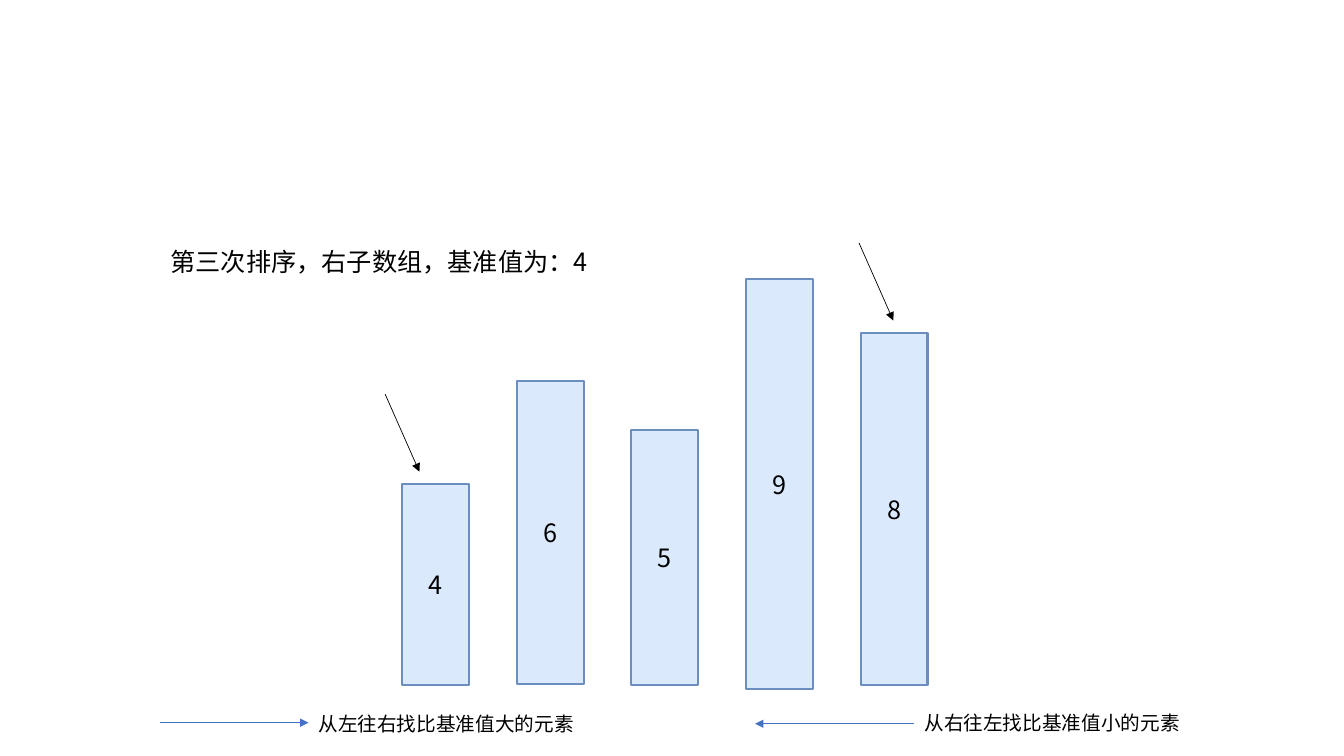
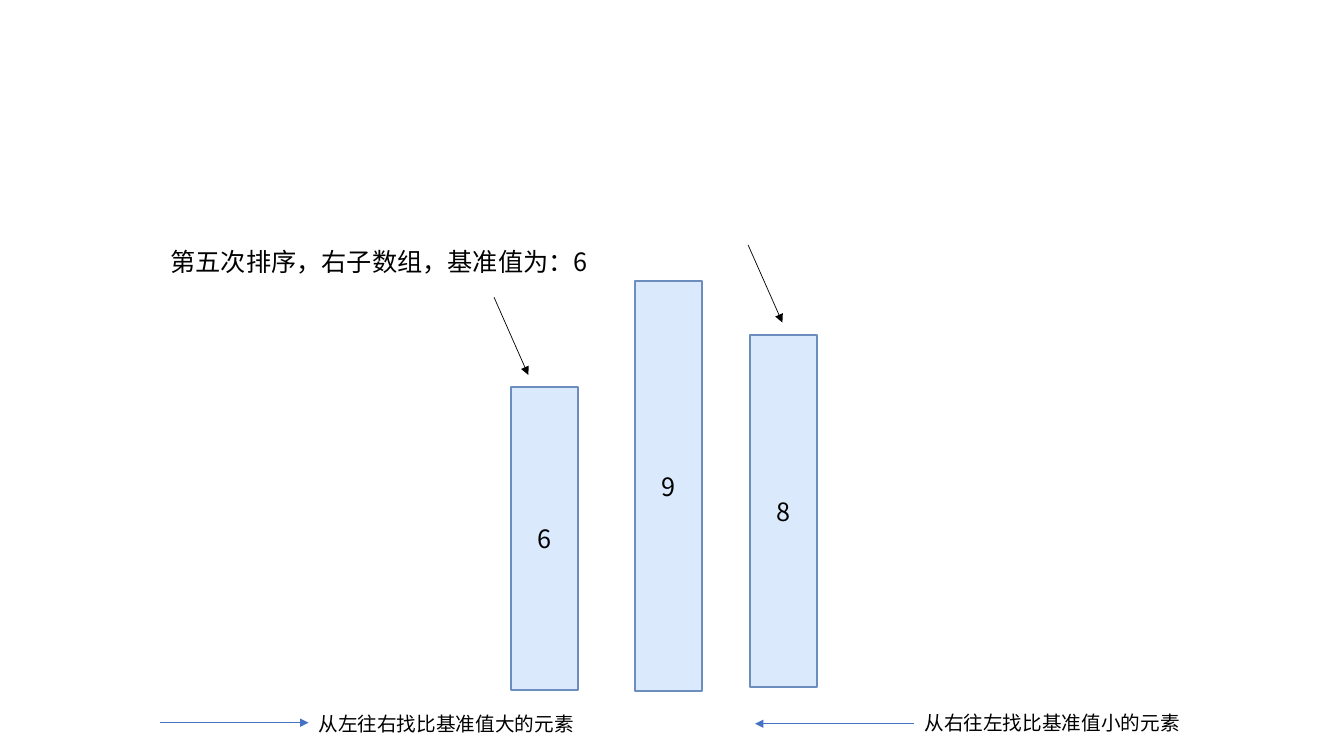
import pptx
import pptx.util
import pptx.dml.color
import pptx.enum.shapes
import pptx.enum.text
import pptx.oxml.ns
from lxml import etree

Inches = pptx.util.Inches
Pt = pptx.util.Pt
ALIGN = pptx.enum.text.PP_ALIGN
ANCHOR = pptx.enum.text.MSO_ANCHOR

# Shared style
FONT = "Noto Sans CJK SC"
INK, BAR_FILL, BAR_LINE, SCAN = "000000", "DBE9FD", "6C8EBF", "4472C4"
BAR_WIDTH = 0.66
BAR_HEIGHT = {4: 2, 5: 2.53, 6: 3.01, 8: 3.5, 9: 4.07}


def rgb(value):
    return pptx.dml.color.RGBColor.from_string(value)


def add_xml(parent, tag, **attributes):
    return etree.SubElement(parent, pptx.oxml.ns.qn(tag), **attributes)


class Deck:
    def __init__(self):
        self.prs = pptx.Presentation()
        self.prs.slide_width = Inches(13.33)
        self.prs.slide_height = Inches(7.5)
        self.s = None

    def set_text(self, sp, text, size, align=ALIGN.LEFT, anchor=ANCHOR.TOP):
        tf = sp.text_frame
        frame = {"word_wrap": True, "vertical_anchor": anchor,
                 "auto_size": pptx.enum.text.MSO_AUTO_SIZE.NONE}
        for name, value in frame.items():
            setattr(tf, name, value)
        p = tf.paragraphs[0]
        p.alignment = align
        r = p.add_run()
        r.text = text
        for name, value in {"name": FONT, "size": Pt(size)}.items():
            setattr(r.font, name, value)
        r.font.color.rgb = rgb(INK)
        add_xml(r.font._element, "a:ea", typeface=FONT)

    def slide(self, title, width):
        self.s = self.prs.slides.add_slide(self.prs.slide_layouts[5])
        sp = self.s.shapes.title
        place = {"left": 1.59, "top": 2.39, "width": width, "height": 0.4}
        for name, value in place.items():
            setattr(sp, name, Inches(value))
        self.set_text(sp, title, 18)

    def label(self, text, left, top):
        sp = self.s.shapes.add_textbox(Inches(left), Inches(top), Inches(2.75), Inches(0.34))
        self.set_text(sp, text, 14)

    def bar(self, value, left, top):
        sp = self.s.shapes.add_shape(
            pptx.enum.shapes.MSO_SHAPE.RECTANGLE, Inches(left), Inches(top),
            Inches(BAR_WIDTH), Inches(BAR_HEIGHT[value]))
        sp.shadow.inherit = False
        sp.fill.solid()
        sp.fill.fore_color.rgb = rgb(BAR_FILL)
        sp.line.color.rgb = rgb(BAR_LINE)
        sp.line.width = Pt(1.5)
        self.set_text(sp, str(value), 18, ALIGN.CENTER, ANCHOR.MIDDLE)

    def arrow(self, x1, y1, x2, y2, color):
        line = self.s.shapes.add_connector(
            pptx.enum.shapes.MSO_CONNECTOR.STRAIGHT,
            Inches(x1), Inches(y1), Inches(x2), Inches(y2))
        line.line.color.rgb = rgb(color)
        line.line.width = Pt(0.5)
        add_xml(line.line._get_or_add_ln(), "a:tailEnd", type="triangle")
        add_xml(line._element.spPr, "a:effectLst")

    def pointer(self, left, top):
        self.arrow(left, top - 0.89, left + 0.34, top - 0.12, INK)

    def legend(self):
        self.arrow(1.59, 7.17, 3.06, 7.17, SCAN)
        self.label("从左往右找比基准值大的元素", 3.06, 7.01)
        self.arrow(9.07, 7.18, 7.49, 7.18, SCAN)
        self.label("从右往左找比基准值小的元素", 9.07, 7)

    def sort_step(self, title, title_width, bars):
        self.slide(title, title_width)
        for value, left, top in bars:
            self.bar(value, left, top)
        # Pointers to the first and last bar
        (_, left, top), (_, right, right_top) = bars[0], bars[-1]
        self.pointer(left - 0.17, top)
        self.pointer(right - 0.02, right_top)
        self.legend()


deck = Deck()

# Third pass: value, left and top of each bar
deck.sort_step("第三次排序，右子数组，基准值为：4", 4.37, [
    (4, 3.99, 4.8), (6, 5.13, 3.78), (5, 6.26, 4.27), (9, 7.4, 2.77), (8, 8.54, 3.3)])

# Fifth pass
deck.sort_step("第五次排序，右子数组，基准值为：6", 4.44, [
    (6, 5.07, 3.84), (9, 6.3, 2.79), (8, 7.44, 3.32)])

deck.prs.save("out.pptx")
